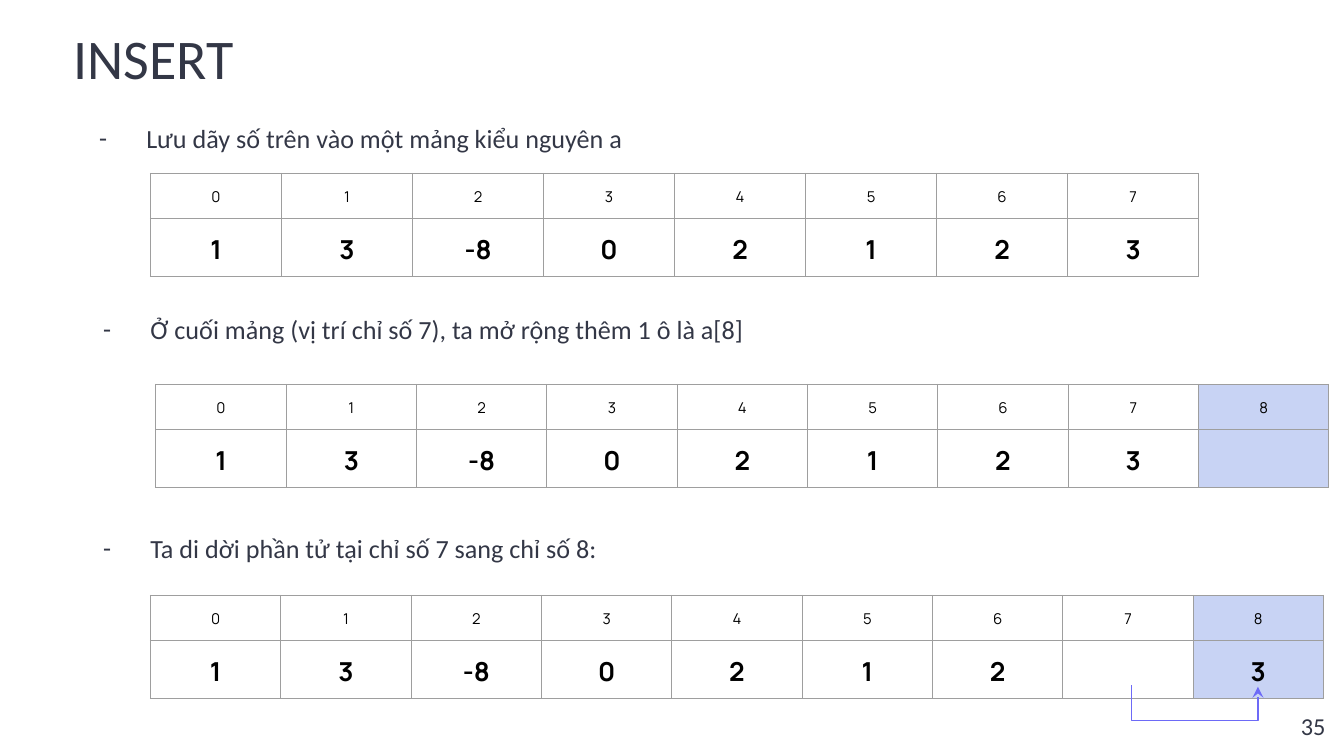
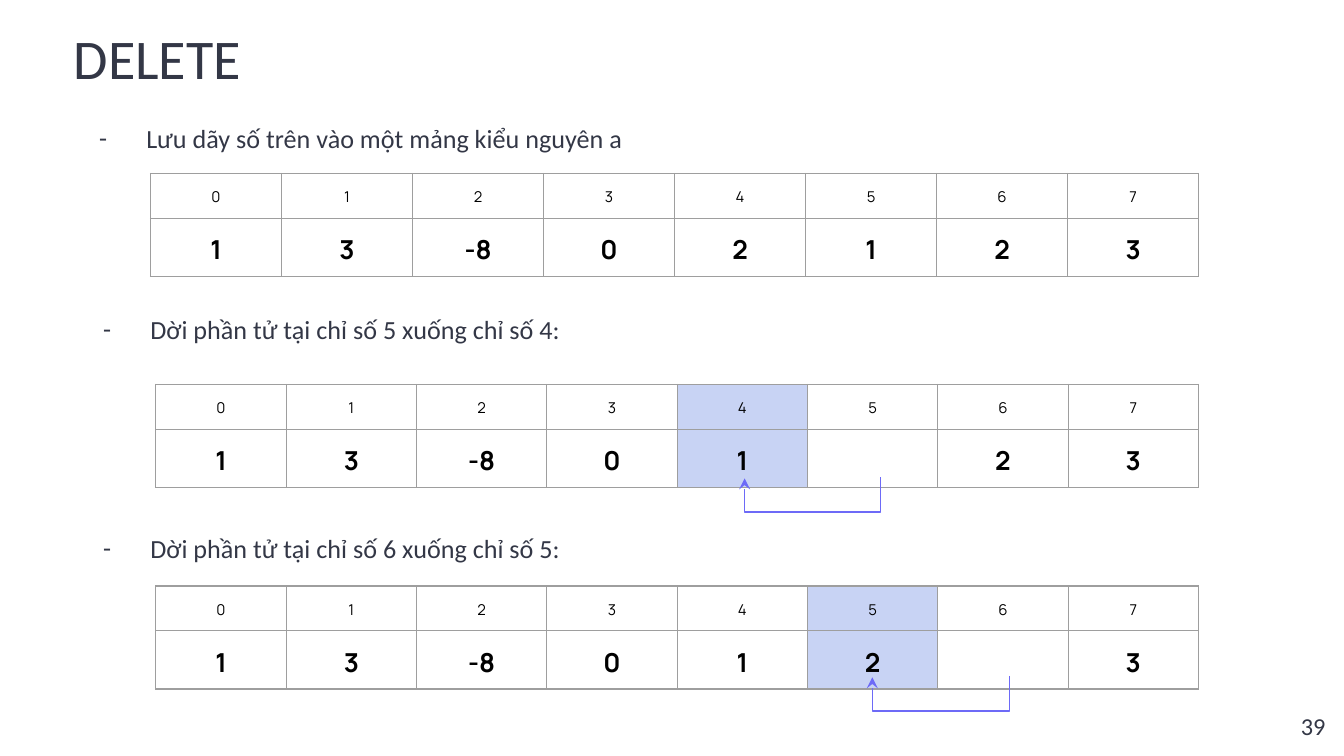
from lxml import etree
from pptx import Presentation
from pptx import util as u
from pptx.dml.color import RGBColor
from pptx.enum import text
from pptx.oxml import ns

PX = 9144  # EMU in one px, 100 px to the inch
HEX = {"ink": "333746", "black": "000000", "grid": "9E9E9E",
       "mark": "C8D3F4", "move": "6D6AF7"}
BODY, CELL = "Calibri", "Manrope"
ALIGN = text.PP_ALIGN


def rgb(name):
    return RGBColor.from_string(HEX[name])


def sub(parent, tag, **attrs):
    return etree.SubElement(parent, ns.qn("a:" + tag), **attrs)


class Deck:
    def __init__(self):
        self.prs = Presentation()
        self.prs.slide_width = 1000 * PX
        self.prs.slide_height = u.Inches(5.625)
        self.slide = None

    def page(self, title, num):
        self.slide = self.prs.slides.add_slide(self.prs.slide_layouts[6])
        self.label((45, 0, 844, 77), [title], 30, lead=1.15)
        self.label((936, 519, 60, 43), [str(num)], 13, align=ALIGN.RIGHT)

    def style(self, par, size, font, color, bold=False):
        for run in par.runs:
            run.font.size = u.Pt(size)
            run.font.name = font
            run.font.bold = bold
            run.font.color.rgb = rgb(color)

    def label(self, box, lines, size, align=ALIGN.LEFT, lead=None,
              dash=False, gap=0):
        frame = self.slide.shapes.add_textbox(*(v * PX for v in box)).text_frame
        frame.word_wrap = True
        frame.margin_left = frame.margin_right = 10 * PX
        frame.margin_top = frame.margin_bottom = 10 * PX
        for i, line in enumerate(lines):
            par = frame.add_paragraph() if i else frame.paragraphs[0]
            par.text = line
            if dash:
                self.bullet(par)
            par.alignment = align
            par.line_spacing = lead
            if i:
                par.space_before = u.Pt(gap)
            self.style(par, size, BODY, "ink")

    def bullet(self, par):
        props = par._p.get_or_add_pPr()
        props.set("marL", str(50 * PX))
        props.set("indent", str(-35 * PX))
        sub(sub(props, "buClr"), "srgbClr", val=HEX["ink"])
        sub(props, "buFont", typeface=BODY)
        sub(props, "buChar", char="-")

    def steps(self, box, lines, gap=0):
        self.label(box, lines, 14, lead=1.15, dash=True, gap=gap)

    def array(self, x, y, width, values, mark=None):
        """Index row over value row; mark is the shaded column."""
        count = len(values)
        table = self.slide.shapes.add_table(
            2, count, x * PX, y * PX, width * PX, 72 * PX).table
        table.first_row = table.horz_banding = False
        for col in table.columns:
            col.width = width * PX // count
        rows = ((range(count), 30, 8, False), (values, 42, 14, True))
        for r, (items, height, size, bold) in enumerate(rows):
            table.rows[r].height = height * PX
            for c, item in enumerate(items):
                self.cell(table.cell(r, c), str(item), size, bold, c == mark)

    def cell(self, cell, label, size, bold, shade):
        cell.margin_left = cell.margin_right = 10 * PX
        cell.margin_top = cell.margin_bottom = 10 * PX
        par = cell.text_frame.paragraphs[0]
        par.alignment = ALIGN.CENTER
        if label:
            par.text = label
            self.style(par, size, CELL, "black", bold)
        else:
            sub(par._p, "endParaRPr", sz=str(size * 100))
        props = cell._tc.get_or_add_tcPr()
        for side in "LRTB":
            line = sub(props, "ln" + side, w=str(u.Pt(0.75)))
            sub(sub(line, "solidFill"), "srgbClr", val=HEX["grid"])
        if shade:
            cell.fill.solid()
            cell.fill.fore_color.rgb = rgb("mark")
        else:
            cell.fill.background()

    def move(self, start, end, y):
        """Arrow that drops below the cells and rises into the new one."""
        pen = self.slide.shapes.build_freeform(start, y, scale=float(PX))
        pen.add_line_segments(
            [(start, y + 26), (end, y + 26), (end, y + 1)], close=False)
        shape = pen.convert_to_shape()
        shape.shadow.inherit = False
        shape.fill.background()
        shape.line.width = u.Pt(0.75)
        shape.line.color.rgb = rgb("move")
        sub(shape.line._get_or_add_ln(), "tailEnd", type="stealth")

    def intro(self, lines):
        """First array and the two steps that follow it."""
        self.steps((49, 78, 927, 156),
                   ["Lưu dãy số trên vào một mảng kiểu nguyên a"])
        self.array(112, 129, 780, [1, 3, -8, 0, 2, 1, 2, 3])
        self.steps((52, 220, 744, 233), lines, gap=98)


def main():
    deck = Deck()

    # Insert: widen the array, then shift the last item
    deck.page("INSERT", 35)
    deck.intro(["Ở cuối mảng (vị trí chỉ số 7), ta mở rộng thêm 1 ô là a[8]",
                "Ta di dời phần tử tại chỉ số 7 sang chỉ số 8:"])
    deck.array(116, 286, 873, [1, 3, -8, 0, 2, 1, 2, 3, ""], mark=8)
    deck.array(112, 443, 873, [1, 3, -8, 0, 2, 1, 2, "", 3], mark=8)
    deck.move(842, 936, 510)

    # Delete: shift each later item one place down
    deck.page("DELETE", 39)
    deck.intro(["Dời phần tử tại chỉ số 5 xuống chỉ số 4:",
                "Dời phần tử tại chỉ số 6 xuống chỉ số 5:"])
    deck.array(116, 286, 776, [1, 3, -8, 0, 1, "", 2, 3], mark=4)
    deck.move(655, 554, 355)
    deck.array(116, 436, 776, [1, 3, -8, 0, 1, 2, "", 3], mark=5)
    deck.move(751, 649, 503)

    deck.prs.save("out.pptx")


if __name__ == "__main__":
    main()
